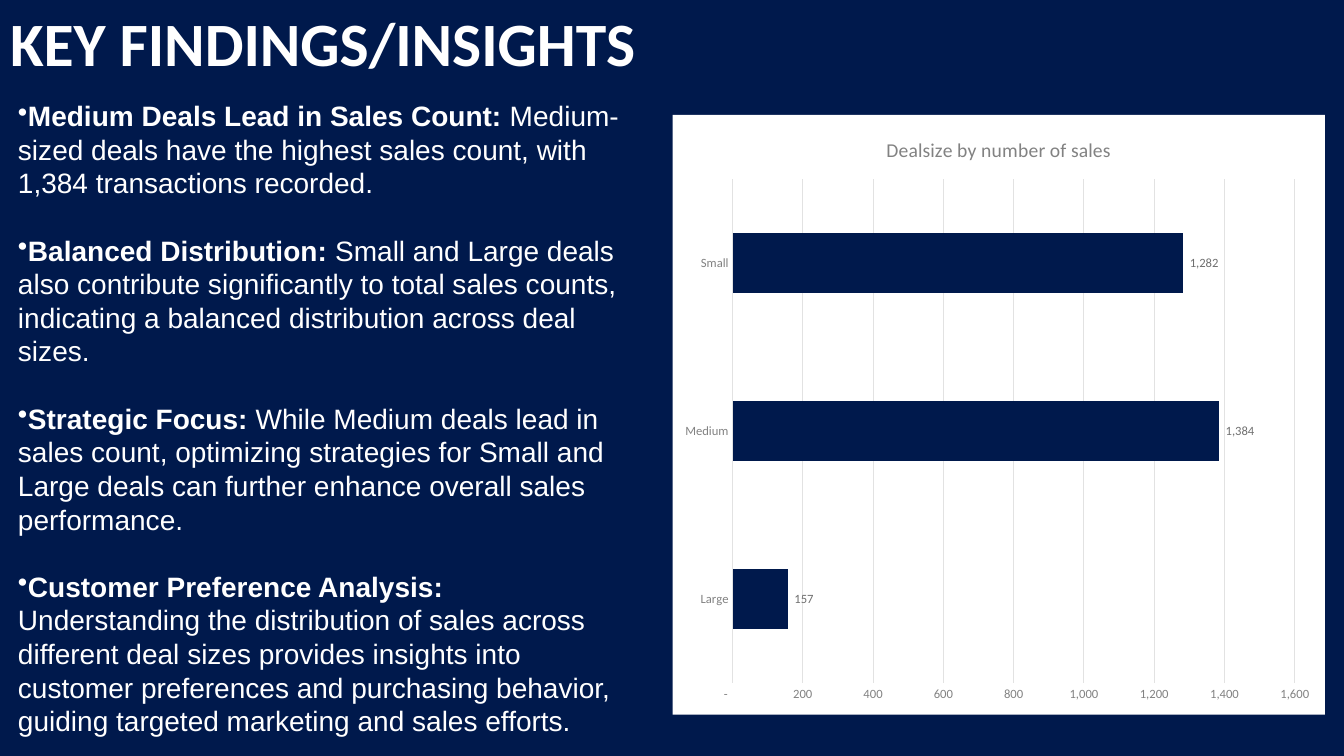
from dataclasses import dataclass

from pptx import Presentation
from pptx.chart.data import CategoryChartData
from pptx.dml.color import RGBColor
from pptx.enum.chart import XL_CHART_TYPE, XL_LABEL_POSITION, XL_TICK_MARK
from pptx.enum.text import MSO_ANCHOR, MSO_AUTO_SIZE, PP_ALIGN
from pptx.oxml import parse_xml
from pptx.oxml.ns import nsdecls
from pptx.util import Inches, Pt


@dataclass(frozen=True)
class Theme:
    navy: str = "00194C"
    white: str = "FFFFFF"
    grid: str = "E2E2E2"
    axis: str = "828282"
    label: str = "6F6F6F"
    dark: str = "3F3F3F"
    head: str = "Calibri"
    body: str = "Arial"
    title_size: int = 44
    body_size: int = 20
    line_size: int = 24
    chart_title: int = 14
    chart_size: int = 10
    tick_size: int = 9


THEME = Theme()
NUMBER = '_-* #,##0_-;\\-* #,##0_-;_-* "-"??_-;_-@_'
POINTS = [
    ("Medium Deals Lead in Sales Count:",
     " Medium-sized deals have the highest sales count, with 1,384 "
     "transactions recorded."),
    ("Balanced Distribution:",
     " Small and Large deals also contribute significantly to total sales "
     "counts, indicating a balanced distribution across deal sizes."),
    ("Strategic Focus:",
     " While Medium deals lead in sales count, optimizing strategies for "
     "Small and Large deals can further enhance overall sales performance."),
    ("Customer Preference Analysis:",
     " Understanding the distribution of sales across different deal sizes "
     "provides insights into customer preferences and purchasing behavior, "
     "guiding targeted marketing and sales efforts."),
]
DEALS = {"Large": 157, "Medium": 1384, "Small": 1282}


def apply(item, values):
    for name, value in values.items():
        setattr(item, name, value)


def style(font, size, color, name, bold=False):
    apply(font, {"size": Pt(size), "name": name, "bold": bold})
    font.color.rgb = RGBColor.from_string(color)


def paint(fill, color):
    fill.solid()
    fill.fore_color.rgb = RGBColor.from_string(color)


def rule(line, color):
    line.color.rgb = RGBColor.from_string(color)
    line.width = Pt(0.75)


def add_title(slide, text):
    title = slide.shapes.title
    apply(title, {"left": Inches(0), "top": Inches(0),
                  "width": Inches(6.67), "height": Inches(1.14)})
    frame = title.text_frame
    apply(frame, {"text": text, "word_wrap": True,
                  "auto_size": MSO_AUTO_SIZE.NONE,
                  "vertical_anchor": MSO_ANCHOR.TOP})
    para = frame.paragraphs[0]
    para.alignment = PP_ALIGN.LEFT
    style(para.runs[0].font, THEME.title_size, THEME.white, THEME.head, True)


def add_points(slide, points):
    box = slide.shapes.add_textbox(
        Inches(0.08), Inches(0.93), Inches(6.29), Inches(6.57))
    frame = box.text_frame
    frame.word_wrap = True
    for index, (lead, rest) in enumerate(points):
        para = frame.add_paragraph() if index else frame.paragraphs[0]
        props = para._p.get_or_add_pPr()
        props.append(parse_xml(f'<a:buChar {nsdecls("a")} char="•"/>'))
        apply(para, {"line_spacing": Pt(THEME.line_size),
                     "space_before": Pt(THEME.line_size if index else 0)})
        for text, bold in ((lead, True), (rest, False)):
            run = para.add_run()
            run.text = text
            style(run.font, THEME.body_size, THEME.white, THEME.body, bold)


def set_frame(chart):
    # White chart area
    chart._chartSpace.chart.addnext(parse_xml(
        f'<c:spPr {nsdecls("c", "a")}><a:solidFill>'
        f'<a:srgbClr val="{THEME.white}"/></a:solidFill>'
        '<a:ln><a:noFill/></a:ln></c:spPr>'))
    # Inner plot area
    plot = chart._chartSpace.chart.plotArea
    for old in plot.findall("{*}layout"):
        plot.remove(old)
    place = {"x": 0.092, "y": 0.107, "w": 0.862, "h": 0.84}
    sizes = "".join(f'<c:{k} val="{v}"/>' for k, v in place.items())
    plot.insert(0, parse_xml(
        f'<c:layout {nsdecls("c")}><c:manualLayout>'
        '<c:layoutTarget val="inner"/><c:xMode val="edge"/>'
        f'<c:yMode val="edge"/>{sizes}</c:manualLayout></c:layout>'))


def set_axes(chart):
    for axis in (chart.category_axis, chart.value_axis):
        apply(axis, {"major_tick_mark": XL_TICK_MARK.NONE,
                     "minor_tick_mark": XL_TICK_MARK.NONE})
        style(axis.tick_labels.font, THEME.tick_size, THEME.axis, THEME.head)
    chart.category_axis.has_major_gridlines = False
    rule(chart.category_axis.format.line, THEME.grid)
    value = chart.value_axis
    apply(value, {"minimum_scale": 0, "maximum_scale": 1600,
                  "major_unit": 200, "has_major_gridlines": True})
    value.format.line.fill.background()
    rule(value.major_gridlines.format.line, THEME.grid)
    apply(value.tick_labels, {"number_format": NUMBER,
                              "number_format_is_linked": False})


def add_bars(slide, title, deals):
    data = CategoryChartData()
    data.categories = list(deals)
    data.add_series("Series 1", list(deals.values()))
    chart = slide.shapes.add_chart(
        XL_CHART_TYPE.BAR_CLUSTERED, Inches(6.67), Inches(1.14),
        Inches(6.47), Inches(5.95), data).chart
    apply(chart, {"has_legend": False, "has_title": True})
    style(chart.font, THEME.chart_size, THEME.dark, THEME.head)
    set_frame(chart)
    set_axes(chart)

    # Chart title
    frame = chart.chart_title.text_frame
    frame.text = title
    style(frame.paragraphs[0].runs[0].font,
          THEME.chart_title, THEME.axis, THEME.head)

    # Bars and labels
    plot = chart.plots[0]
    apply(plot, {"gap_width": 182, "vary_by_categories": False})
    bars = plot.series[0]
    paint(bars.format.fill, THEME.navy)
    labels = bars.data_labels
    apply(labels, {"show_value": True, "number_format": NUMBER,
                   "number_format_is_linked": False,
                   "position": XL_LABEL_POSITION.OUTSIDE_END})
    style(labels.font, THEME.tick_size, THEME.label, THEME.head)


def main():
    deck = Presentation()
    apply(deck, {"slide_width": Inches(13.33), "slide_height": Inches(7.5)})
    slide = deck.slides.add_slide(deck.slide_layouts[5])
    paint(slide.background.fill, THEME.navy)
    add_title(slide, "KEY FINDINGS/INSIGHTS")
    add_points(slide, POINTS)
    add_bars(slide, "Dealsize by number of sales", DEALS)
    deck.save("out.pptx")


if __name__ == "__main__":
    main()
